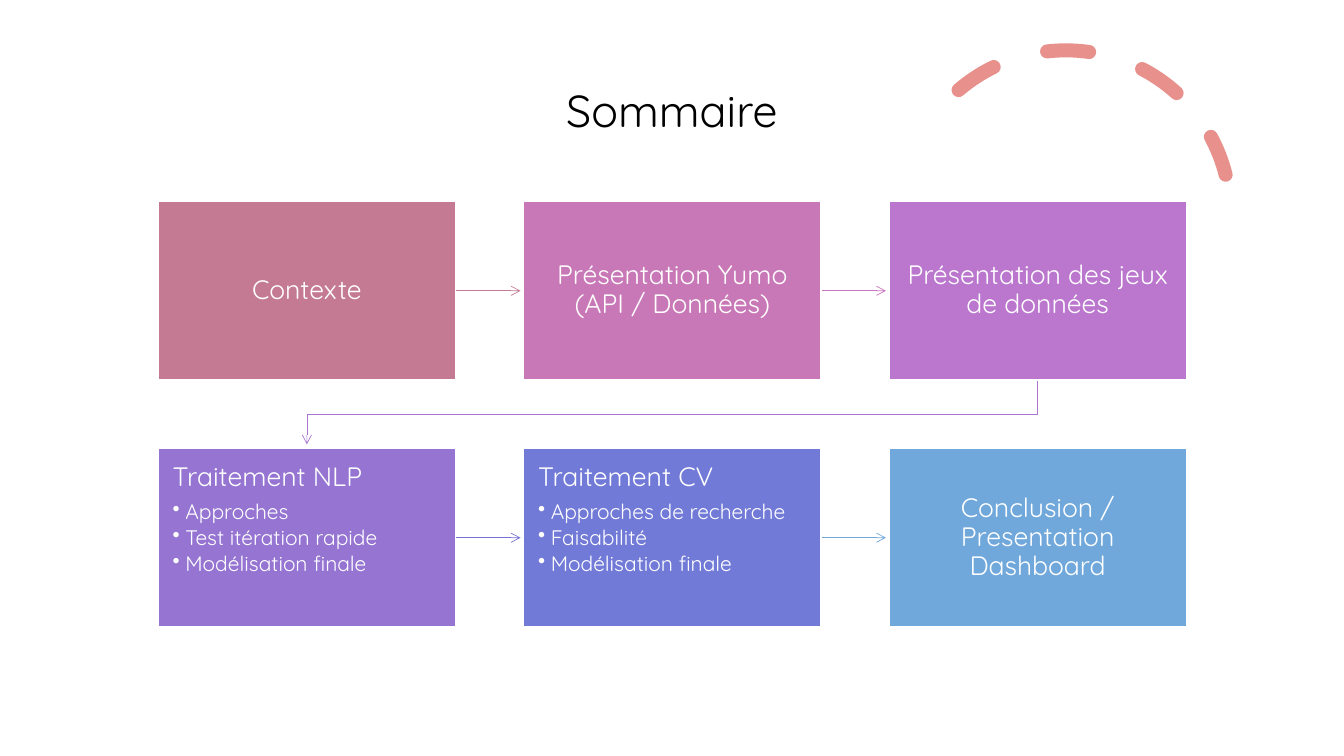
from dataclasses import dataclass

from pptx import Presentation
from pptx.dml.color import RGBColor
from pptx.enum.dml import MSO_LINE
from pptx.enum.shapes import MSO_CONNECTOR, MSO_SHAPE
from pptx.enum.text import MSO_ANCHOR, PP_ALIGN
from pptx.oxml.ns import qn
from pptx.util import Pt
from lxml import etree

ARC = MSO_SHAPE.ARC
RECTANGLE = MSO_SHAPE.RECTANGLE
STRAIGHT = MSO_CONNECTOR.STRAIGHT
DASH = MSO_LINE.DASH
MIDDLE = MSO_ANCHOR.MIDDLE
TOP = MSO_ANCHOR.TOP
CENTER = PP_ALIGN.CENTER
LEFT = PP_ALIGN.LEFT


@dataclass(frozen=True)
class Theme:
    font: str = "Quicksand"
    title_size: float = 32
    heading_size: float = 19
    bullet_size: float = 15
    black: str = "000000"
    white: str = "FFFFFF"
    coral: str = "E8908B"


@dataclass(frozen=True)
class Grid:
    left: float = 113
    top: float = 144
    width: float = 212.4
    height: float = 127.4
    column_step: float = 261
    row_step: float = 176.4
    columns: int = 3
    arrow_length: float = 46.4

    def corner(self, index: int) -> tuple[float, float]:
        row, column = divmod(index, self.columns)
        return self.left + column * self.column_step, self.top + row * self.row_step


@dataclass(frozen=True)
class Step:
    heading: str
    fill: str
    arrow: str = ""
    bullets: tuple[str, ...] = ()


THEME = Theme()
GRID = Grid()
STEPS = (
    Step("Contexte", "C47A93", "C47A93"),
    Step("Présentation Yumo (API / Données)", "C978B7", "CA77C0"),
    Step("Présentation des jeux de données", "BB76CE", "A975D0"),
    Step("Traitement NLP", "9574D2", "7572D6",
         ("Approches", "Test itération rapide", "Modélisation finale")),
    Step("Traitement CV", "727AD7", "70A8DB",
         ("Approches de recherche", "Faisabilité", "Modélisation finale")),
    Step("Conclusion / Presentation Dashboard", "70A8DB"),
)


def color(value: str) -> RGBColor:
    return RGBColor.from_string(value)


def write(paragraph, text: str, size: float, text_color: str, alignment, space_after: float = 0) -> None:
    paragraph.alignment = alignment
    paragraph.line_spacing = 0.9
    paragraph.space_after = Pt(space_after)
    run = paragraph.add_run()
    run.text = text
    run.font.name = THEME.font
    run.font.size = Pt(size)
    run.font.color.rgb = color(text_color)


def add_bullet(paragraph) -> None:
    paragraph.level = 1
    properties = paragraph._p.get_or_add_pPr()
    properties.set("marL", str(Pt(9)))
    properties.set("indent", str(-Pt(9)))
    etree.SubElement(properties, qn("a:buChar")).set("char", "•")


def style_arrow(shape, line_color: str) -> None:
    shape.line.color.rgb = color(line_color)
    shape.line.width = Pt(0.5)
    properties = shape.element.spPr
    etree.SubElement(properties.find(qn("a:ln")), qn("a:tailEnd")).set("type", "arrow")
    etree.SubElement(properties, qn("a:effectLst"))


def draw_straight_arrow(slide, index: int, line_color: str) -> None:
    left, top = GRID.corner(index)
    start, middle = left + GRID.width, top + GRID.height / 2
    arrow = slide.shapes.add_connector(
        STRAIGHT, Pt(start), Pt(middle), Pt(start + GRID.arrow_length), Pt(middle))
    style_arrow(arrow, line_color)


def draw_row_arrow(slide, index: int, line_color: str) -> None:
    left, top = GRID.corner(index)
    next_left, next_top = GRID.corner(index + 1)
    start, end = left + GRID.width / 2, next_left + GRID.width / 2
    bottom = top + GRID.height
    bend = (bottom + next_top) / 2
    builder = slide.shapes.build_freeform(Pt(start), Pt(bottom))
    builder.add_line_segments(
        [(Pt(start), Pt(bend)), (Pt(end), Pt(bend)), (Pt(end), Pt(next_top - 3))], close=False)
    arrow = builder.convert_to_shape()
    arrow.fill.background()
    style_arrow(arrow, line_color)


def draw_step(slide, index: int, step: Step) -> None:
    left, top = GRID.corner(index)
    box = slide.shapes.add_shape(RECTANGLE, Pt(left), Pt(top), Pt(GRID.width), Pt(GRID.height))
    box.shadow.inherit = False
    box.fill.solid()
    box.fill.fore_color.rgb = color(step.fill)
    box.line.color.rgb = color(THEME.white)
    box.line.width = Pt(1)
    frame = box.text_frame
    frame.word_wrap = True
    frame.margin_left = frame.margin_right = Pt(10.4)
    frame.margin_top = frame.margin_bottom = Pt(10.9)
    frame.vertical_anchor = TOP if step.bullets else MIDDLE
    alignment = LEFT if step.bullets else CENTER
    write(frame.paragraphs[0], step.heading, THEME.heading_size, THEME.white, alignment, 6.65)
    for bullet in step.bullets:
        paragraph = frame.add_paragraph()
        write(paragraph, bullet, THEME.bullet_size, THEME.white, LEFT, 2)
        add_bullet(paragraph)


def draw_arc(slide) -> None:
    arc = slide.shapes.add_shape(ARC, Pt(643.7), Pt(36), Pt(235.4), Pt(235.4))
    arc.adjustments[0] = 146.13
    arc.adjustments[1] = 0
    arc.rotation = 345.8
    arc.shadow.inherit = False
    arc.fill.background()
    arc.line.color.rgb = color(THEME.coral)
    arc.line.width = Pt(10)
    arc.line.dash_style = DASH
    arc.element.spPr.find(qn("a:ln")).set("cap", "rnd")


def draw_title(slide) -> None:
    frame = slide.shapes.add_textbox(Pt(66), Pt(28.8), Pt(828), Pt(104.4)).text_frame
    frame.word_wrap = True
    frame.vertical_anchor = MIDDLE
    write(frame.paragraphs[0], "Sommaire", THEME.title_size, THEME.black, CENTER)


def main() -> None:
    presentation = Presentation()
    presentation.slide_width = Pt(960)
    presentation.slide_height = Pt(540)
    slide = presentation.slides.add_slide(presentation.slide_layouts[6])
    draw_arc(slide)
    draw_title(slide)
    for index, step in enumerate(STEPS):
        if step.arrow:
            ends_row = index % GRID.columns == GRID.columns - 1
            draw_arrow = draw_row_arrow if ends_row else draw_straight_arrow
            draw_arrow(slide, index, step.arrow)
        draw_step(slide, index, step)
    presentation.save("out.pptx")


if __name__ == "__main__":
    main()
